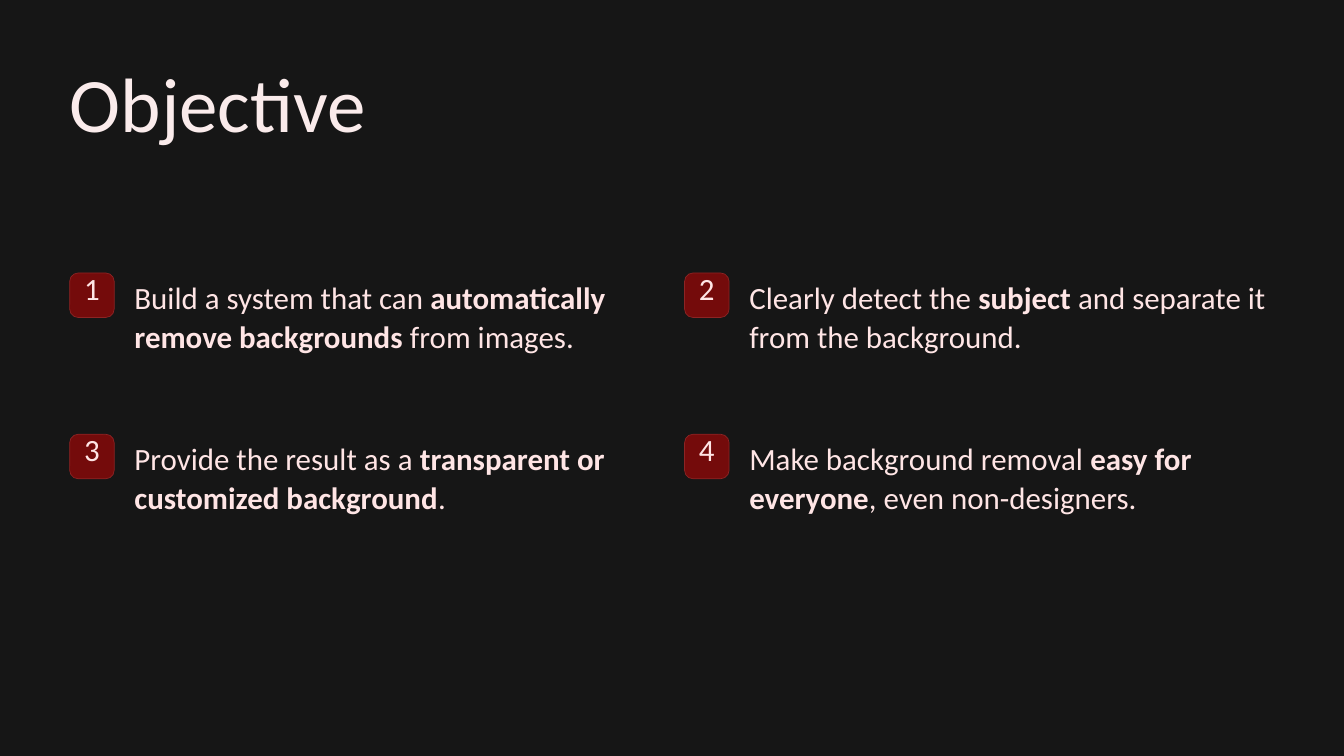
from dataclasses import dataclass

from pptx import Presentation
from pptx.dml.color import RGBColor
from pptx.enum.shapes import MSO_SHAPE
from pptx.enum.text import MSO_ANCHOR, MSO_AUTO_SIZE, PP_ALIGN
from pptx.util import Inches, Pt


@dataclass(frozen=True)
class Theme:
    font: str = "Calibri"
    background: RGBColor = RGBColor(0x16, 0x16, 0x16)
    title: RGBColor = RGBColor(0xFA, 0xEB, 0xEB)
    body: RGBColor = RGBColor(0xFF, 0xE5, 0xE5)
    badge: RGBColor = RGBColor(0x74, 0x0B, 0x0B)
    badge_line: RGBColor = RGBColor(0x8D, 0x24, 0x24)
    title_size: float = 66
    body_size: float = 26.5
    title_spacing: float = 28
    number_spacing: float = 26.5
    body_spacing: float = 33.5


def apply_format(target, values):
    for name, value in values.items():
        setattr(target, name, value)


class SlideBuilder:
    def __init__(self, slide, theme):
        self.slide = slide
        self.theme = theme

    def background(self):
        fill = self.slide.background.fill
        fill.solid()
        fill.fore_color.rgb = self.theme.background

    def fill_text(self, holder, runs, size, color, spacing, align=PP_ALIGN.LEFT):
        """Fill a text holder with (text, bold) runs."""
        frame = holder.text_frame
        apply_format(frame, {
            "margin_left": 0, "margin_top": 0,
            "margin_right": 0, "margin_bottom": 0,
            "word_wrap": True, "auto_size": MSO_AUTO_SIZE.NONE,
            "vertical_anchor": MSO_ANCHOR.TOP,
        })
        paragraph = frame.paragraphs[0]
        apply_format(paragraph, {"alignment": align, "line_spacing": Pt(spacing)})
        for text, bold in runs:
            run = paragraph.add_run()
            run.text = text
            apply_format(run.font, {"name": self.theme.font, "size": Pt(size), "bold": bold})
            run.font.color.rgb = color

    def title(self, text, left, top, width, height):
        title = self.slide.shapes.title
        apply_format(title, {
            "left": Inches(left), "top": Inches(top),
            "width": Inches(width), "height": Inches(height),
        })
        self.fill_text(title, [(text, False)], self.theme.title_size,
                       self.theme.title, self.theme.title_spacing)

    def text(self, runs, left, top, width, height, spacing, align=PP_ALIGN.LEFT):
        box = self.slide.shapes.add_textbox(
            Inches(left), Inches(top), Inches(width), Inches(height))
        self.fill_text(box, runs, self.theme.body_size, self.theme.body, spacing, align)

    def badge(self, left, top, side):
        badge = self.slide.shapes.add_shape(
            MSO_SHAPE.ROUNDED_RECTANGLE,
            Inches(left), Inches(top), Inches(side), Inches(side))
        badge.adjustments[0] = 0.19
        badge.shadow.inherit = False
        badge.fill.solid()
        badge.fill.fore_color.rgb = self.theme.badge
        badge.line.color.rgb = self.theme.badge_line
        badge.line.width = Pt(0.6)

    def objective(self, number, runs, left, top):
        self.badge(left, top, 0.53)
        self.text([(str(number), False)], left + 0.08, top + 0.03, 0.37, 0.47,
                  self.theme.number_spacing, PP_ALIGN.CENTER)
        self.text(runs, left + 0.77, top + 0.04, 6.25, 1.4, self.theme.body_spacing)


OBJECTIVES = [
    [("Build a system that can ", False),
     ("automatically remove backgrounds", True),
     (" from images.", False)],
    [("Clearly detect the ", False),
     ("subject", True),
     (" and separate it from the background.", False)],
    [("Provide the result as a ", False),
     ("transparent or customized background", True),
     (".", False)],
    [("Make background removal ", False),
     ("easy for everyone", True),
     (", even non-designers.", False)],
]
GRID_LEFT, GRID_TOP = 0.83, 3.25
COLUMN_STEP, ROW_STEP = 7.32, 1.92


def main():
    presentation = Presentation()
    presentation.slide_width = Inches(16)
    presentation.slide_height = Inches(9)
    title_only = presentation.slide_layouts[5]
    builder = SlideBuilder(presentation.slides.add_slide(title_only), Theme())

    # Background and title
    builder.background()
    builder.title("Objective", GRID_LEFT, 1.37, 4.2, 1.4)

    # Numbered objectives in two columns
    for index, runs in enumerate(OBJECTIVES):
        row, column = divmod(index, 2)
        builder.objective(index + 1, runs,
                          GRID_LEFT + column * COLUMN_STEP,
                          GRID_TOP + row * ROW_STEP)

    presentation.save("out.pptx")


if __name__ == "__main__":
    main()
